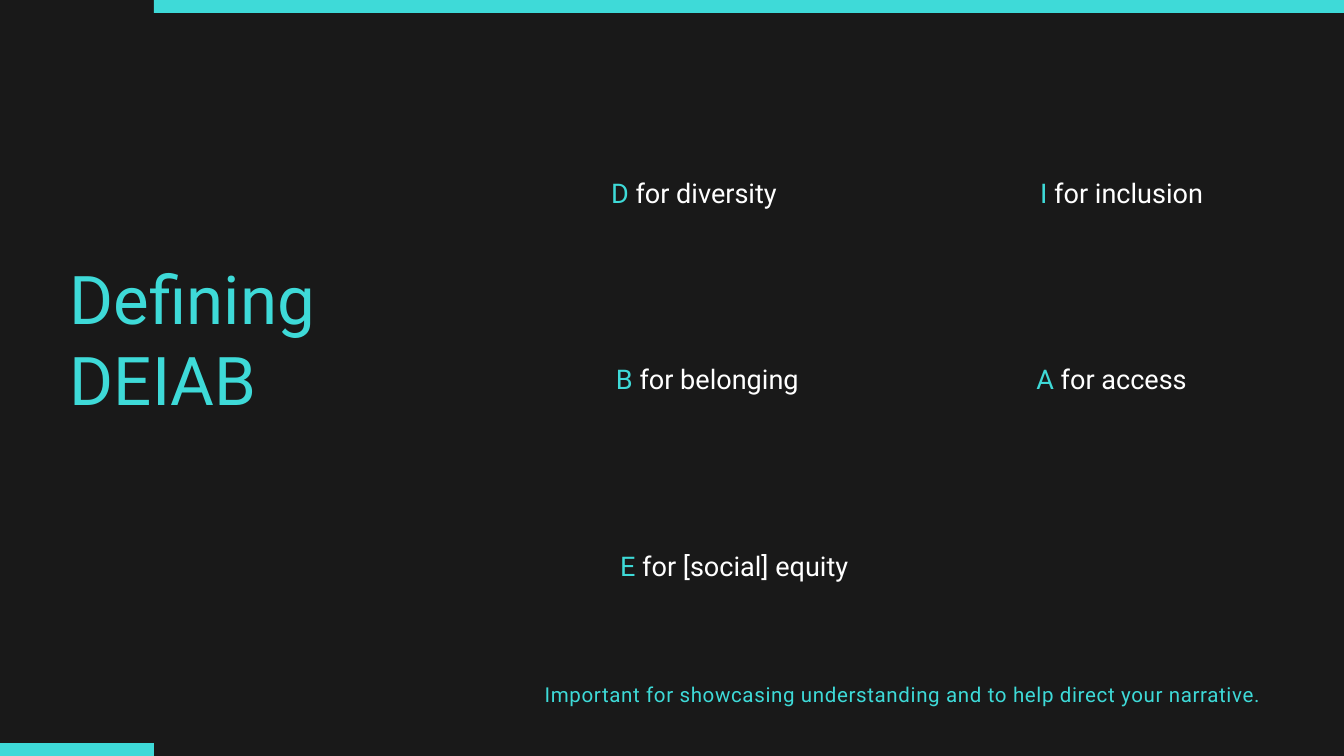
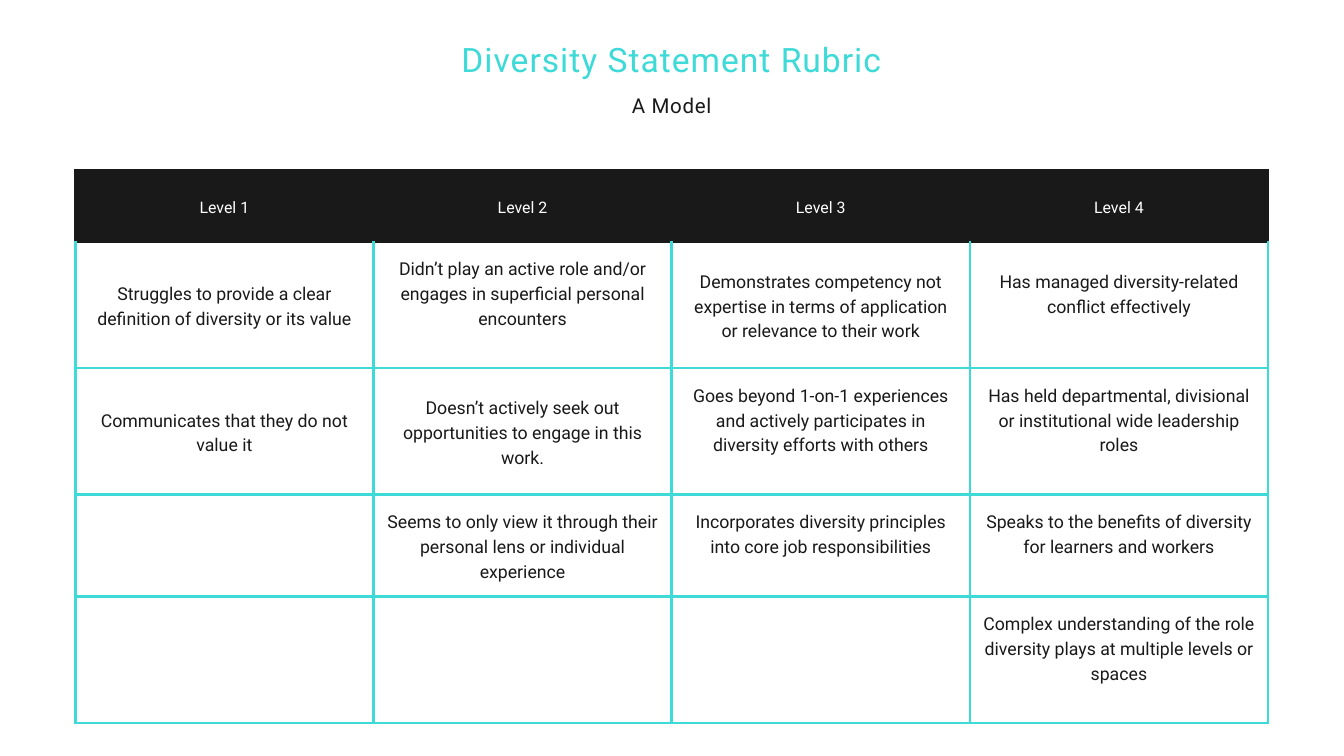
import pptx
import pptx.dml.color
import pptx.enum.shapes
import pptx.enum.text
import pptx.oxml.ns
import pptx.util
import lxml.etree
from dataclasses import dataclass

Inches = pptx.util.Inches
Pt = pptx.util.Pt
ALIGN = pptx.enum.text.PP_ALIGN
ANCHOR = pptx.enum.text.MSO_ANCHOR


@dataclass(frozen=True)
class Theme:
    dark: str = "191919"
    accent: str = "3EDAD8"
    white: str = "FFFFFF"
    font: str = "Roboto"
    headline: float = 72
    title: float = 36
    term: float = 29
    note: float = 22
    body: float = 19
    header: float = 17


THEME = Theme()
WIDTH, HEIGHT = 20, 11.25
TITLE_ONLY = 5

# Letter, meaning and extra left inset of each term
TERMS = [
    [("D", "diversity", 0), ("I", "inclusion", 0.3)],
    [("B", "belonging", 0.4), ("A", "access", 0)],
    [("E", "[social] equity", 1.2), None],
]

LEVELS = ["Level 1", "Level 2", "Level 3", "Level 4"]
# Criterion and whether it sits half a line above the middle of its cell
CRITERIA = [
    [("Struggles to provide a clear definition of diversity or its value", False),
     ("Didn’t play an active role and/or engages in superficial personal encounters", True),
     ("Demonstrates competency not expertise in terms of application or relevance to their work", False),
     ("Has managed diversity-related conflict effectively", True)],
    [("Communicates that they do not value it", False),
     ("Doesn’t actively seek out opportunities to engage in this work.", False),
     ("Goes beyond 1-on-1 experiences and actively participates in diversity efforts with others", True),
     ("Has held departmental, divisional or institutional wide leadership roles", True)],
    [None,
     ("Seems to only view it through their personal lens or individual experience", False),
     ("Incorporates diversity principles into core job responsibilities", True),
     ("Speaks to the benefits of diversity for learners and workers", True)],
    [None, None, None,
     ("Complex understanding of the role diversity plays at multiple levels or spaces", True)],
]


def rgb(color):
    return pptx.dml.color.RGBColor.from_string(color)


def write(frame, *spans, size, leading, align=ALIGN.CENTER, spacing=0):
    """Write (text, colour) spans as one paragraph."""
    para = frame.paragraphs[0]
    para.alignment = align
    para.line_spacing = Pt(leading)
    for text, color in spans:
        span = para.add_run()
        span.text = text
        span.font.name = THEME.font
        span.font.size = Pt(size)
        span.font.color.rgb = rgb(color)
        if spacing:
            span.font._element.set("spc", str(round(spacing * 100)))


def place(shape, box):
    """Move a text shape to its box and clear its insets."""
    shape.left, shape.top, shape.width, shape.height = map(Inches, box)
    frame = shape.text_frame
    frame.word_wrap = True
    frame.auto_size = pptx.enum.text.MSO_AUTO_SIZE.NONE
    frame.vertical_anchor = ANCHOR.TOP
    frame.margin_left = frame.margin_right = frame.margin_top = frame.margin_bottom = 0
    return frame


def add_label(page, box, text, color, **style):
    frame = place(page.shapes.add_textbox(0, 0, 0, 0), box)
    write(frame, (text, color), **style)


def add_page(deck, background, title, box, **style):
    page = deck.slides.add_slide(deck.slide_layouts[TITLE_ONLY])
    page.background.fill.solid()
    page.background.fill.fore_color.rgb = rgb(background)
    write(place(page.shapes.title, box), (title, THEME.accent), **style)
    return page


def add_band(page, box):
    band = page.shapes.add_shape(pptx.enum.shapes.MSO_SHAPE.RECTANGLE, *map(Inches, box))
    band.shadow.inherit = False
    band.fill.solid()
    band.fill.fore_color.rgb = rgb(THEME.accent)
    band.line.fill.background()


def add_grid(page, box, heights, columns):
    """Add a plain table with equal columns and the given row heights."""
    grid = page.shapes.add_table(len(heights), columns, *map(Inches, box)).table
    grid.first_row = grid.horz_banding = False
    for column in grid.columns:
        column.width = Inches(box[2] / columns)
    for row, height in zip(grid.rows, heights):
        row.height = Inches(height)
    return grid


def format_cell(cell, inset, border, width, fill=None, top=None):
    """Set insets, four borders and fill; top overrides the upper border colour."""
    cell.vertical_anchor = ANCHOR.MIDDLE
    cell.margin_left = cell.margin_right = Inches(inset)
    cell.margin_top = cell.margin_bottom = Inches(inset)
    properties = cell._tc.get_or_add_tcPr()
    qn = pptx.oxml.ns.qn
    for side in "LRTB":
        line = lxml.etree.SubElement(properties, qn(f"a:ln{side}"), w=str(Pt(width)))
        solid = lxml.etree.SubElement(line, qn("a:solidFill"))
        color = top if top and side == "T" else border
        lxml.etree.SubElement(solid, qn("a:srgbClr"), val=color)
    if fill:
        cell.fill.solid()
        cell.fill.fore_color.rgb = rgb(fill)
    else:
        cell.fill.background()


def add_terms(page, box):
    inset = 0.21
    rows = len(TERMS)
    grid = add_grid(page, box, [box[3] / rows] * rows, len(TERMS[0]))
    for r, terms in enumerate(TERMS):
        for c, term in enumerate(terms):
            cell = grid.cell(r, c)
            format_cell(cell, inset, THEME.dark, 0.75)
            if term:
                letter, meaning, indent = term
                cell.margin_left = Inches(inset + indent)
                write(cell.text_frame, (f"{letter} ", THEME.accent),
                      (f"for {meaning}", THEME.white), size=THEME.term, leading=40.6)


def add_rubric(page, box):
    inset, leading = 0.19, 26.6
    grid = add_grid(page, box, [1.07, 1.88, 1.88, 1.52, 1.88], len(LEVELS))
    # Level headings
    for c, level in enumerate(LEVELS):
        cell = grid.cell(0, c)
        format_cell(cell, inset, THEME.dark, 3, THEME.dark)
        write(cell.text_frame, (level, THEME.white), size=THEME.header, leading=23.8)
    # Criteria
    for r, criteria in enumerate(CRITERIA, start=1):
        for c, criterion in enumerate(criteria):
            cell = grid.cell(r, c)
            format_cell(cell, inset, THEME.accent, 3, THEME.white,
                        top=THEME.dark if r == 1 else None)
            if criterion:
                text, raised = criterion
                if raised:
                    cell.margin_bottom = Inches(inset) + Pt(leading)
                write(cell.text_frame, (text, THEME.dark), size=THEME.body, leading=leading)


def build_definitions(deck):
    page = add_page(deck, THEME.dark, "Defining DEIAB", (1.04, 3.83, 5.1, 2.41),
                    size=THEME.headline, leading=86.4, align=ALIGN.LEFT)
    add_terms(page, (7.22, 1.45, 12.43, 8.34))
    # Bands meet at the same vertical edge
    edge, thickness = 2.29, 0.19
    add_band(page, (0, HEIGHT - thickness, edge, thickness))
    add_band(page, (edge, 0, WIDTH - edge, thickness))
    add_label(page, (8.03, 10.06, 10.81, 0.42),
              "Important for showcasing understanding and to help direct your narrative.",
              THEME.accent, size=THEME.note, leading=33, spacing=0.7)


def build_rubric(deck):
    page = add_page(deck, THEME.white, "Diversity Statement Rubric", (3.3, 0.53, 13.39, 0.63),
                    size=THEME.title, leading=46.8, spacing=1.1)
    add_rubric(page, (1.12, 2.53, 17.75, 8.23))
    add_label(page, (3.3, 1.29, 13.39, 0.4), "A Model", THEME.dark,
              size=THEME.note, leading=33, spacing=0.7)


def main():
    deck = pptx.Presentation()
    deck.slide_width, deck.slide_height = Inches(WIDTH), Inches(HEIGHT)
    build_definitions(deck)
    build_rubric(deck)
    deck.save("out.pptx")


if __name__ == "__main__":
    main()
